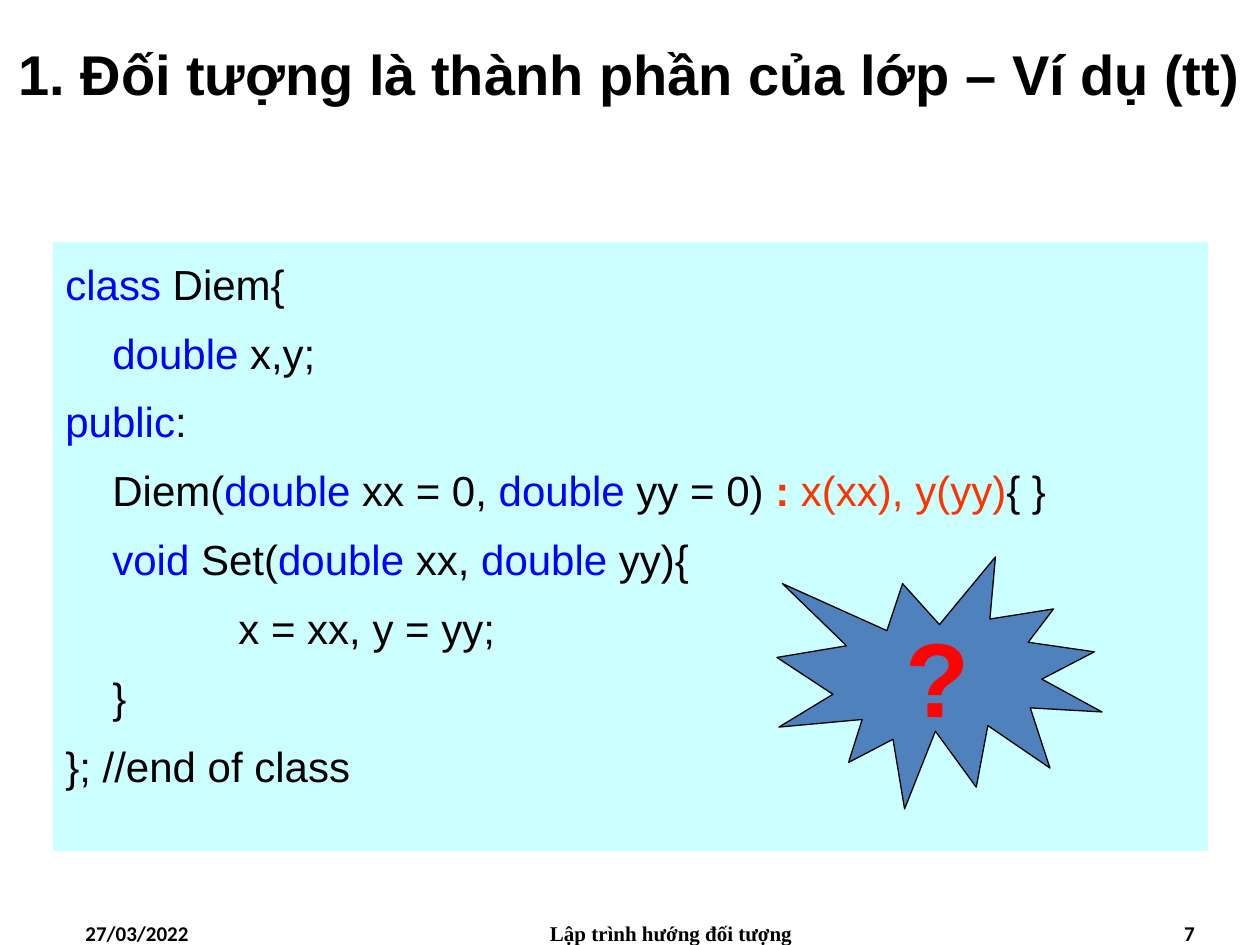
from dataclasses import dataclass

from pptx import Presentation
from pptx.dml.color import RGBColor as Rgb
from pptx.enum.shapes import MSO_SHAPE as Shape
from pptx.enum.text import MSO_ANCHOR as Anchor, PP_ALIGN as Align
from pptx.oxml.ns import qn
from pptx.util import Pt
from lxml.etree import SubElement as Sub


@dataclass(frozen=True)
class Theme:
    ink: str = "000000"
    key: str = "0000FF"
    init: str = "FF3300"
    mark: str = "FF0303"
    panel: str = "CCFFFF"
    burst: str = "4F81BD"
    sans: str = "Arial"
    serif: str = "Times New Roman"
    note: str = "Calibri"
    head: int = 32
    code: int = 24
    big: int = 60
    small: int = 12


T = Theme()
TABS = (0, 47, 173)
KEYS = ("class", "double", "public", "void")
CODE = [
    (0, ["class", " Diem{"]),
    (1, ["double", " x,y;"]),
    (0, ["public", ":"]),
    (1, ["Diem(", "double", " xx = 0, ", "double", " yy = 0) ",
         ":", " x(xx), y(yy)", "{ }"]),
    (1, ["void", " Set(", "double", " xx, ", "double", " yy){"]),
    (2, ["x = xx, y = yy;"]),
    (1, ["}"]),
    (0, ["}; //end of class"]),
]
INIT = (3, (5, 6))


def px(n):
    return n * 914400 // 126


def write(para, text, size=T.code, font=T.sans, color=T.ink, bold=False, align=Align.LEFT):
    para.alignment = align
    run = para.add_run()
    run.text = text
    run.font.size = Pt(size)
    run.font.name = font
    run.font.bold = bold
    run.font.color.rgb = Rgb.from_string(color)


def label(slide, box, text, anchor=Anchor.TOP, wrap=True, **style):
    frame = slide.shapes.add_textbox(*map(px, box)).text_frame
    frame.word_wrap = wrap
    frame.vertical_anchor = anchor
    write(frame.paragraphs[0], text, **style)


def block(slide, kind, box, fill, line=None):
    shape = slide.shapes.add_shape(kind, *map(px, box))
    shape.shadow.inherit = False
    shape.fill.solid()
    shape.fill.fore_color.rgb = Rgb.from_string(fill)
    if line:
        shape.line.color.rgb = Rgb.from_string(line)
        shape.line.width = Pt(0.75)
    else:
        shape.line.fill.background()
    return shape


def space(para, depth):
    para.line_spacing = 1.2
    props = para._p.get_or_add_pPr()
    props.set("marL", str(px(TABS[depth])))
    props.set("indent", "0")
    gap = Sub(props, qn("a:spcBef"))
    Sub(gap, qn("a:spcPct")).set("val", "20000")


def code(slide, box):
    x, y, w, h = box
    frame = block(slide, Shape.RECTANGLE, box, T.panel).text_frame
    frame.word_wrap = True
    frame.vertical_anchor = Anchor.TOP
    for row, (depth, parts) in enumerate(CODE):
        para = frame.add_paragraph() if row else frame.paragraphs[0]
        space(para, depth)
        for col, part in enumerate(parts):
            init = row == INIT[0] and col in INIT[1]
            color = T.init if init else T.key if part in KEYS else T.ink
            write(para, part, color=color, bold=init and part == ":")
    burst(slide, (x + 724, y + 315, 325, 252))


def burst(slide, box):
    frame = block(slide, Shape.EXPLOSION1, box, T.burst, T.ink).text_frame
    frame.word_wrap = False
    frame.vertical_anchor = Anchor.MIDDLE
    write(frame.paragraphs[0], "?", size=T.big, color=T.mark, bold=True, align=Align.CENTER)


def foot(slide, box):
    x, y, w, h = box
    side, mid = 294, 400
    for left, wide, text, font, align in (
        (x, side, "27/03/2022", T.note, Align.LEFT),
        (x + (w - mid) // 2 + 31, mid, "Lập trình hướng đối tượng", T.serif, Align.CENTER),
        (x + w - side, side, "7", T.note, Align.RIGHT),
    ):
        label(slide, (left, y, wide, h), text, size=T.small, font=font,
              bold=True, align=align)


def main():
    deck = Presentation()
    deck.slide_width, deck.slide_height = px(1260), px(945)
    slide = deck.slides.add_slide(deck.slide_layouts[6])
    foot(slide, (73, 914, 1134, 31))
    code(slide, (53, 242, 1155, 609))
    label(slide, (0, 0, 1260, 147), "1. Đối tượng là thành phần của lớp – Ví dụ (tt)",
          anchor=Anchor.MIDDLE, wrap=False, size=T.head, bold=True, align=Align.CENTER)
    deck.save("out.pptx")


if __name__ == "__main__":
    main()
